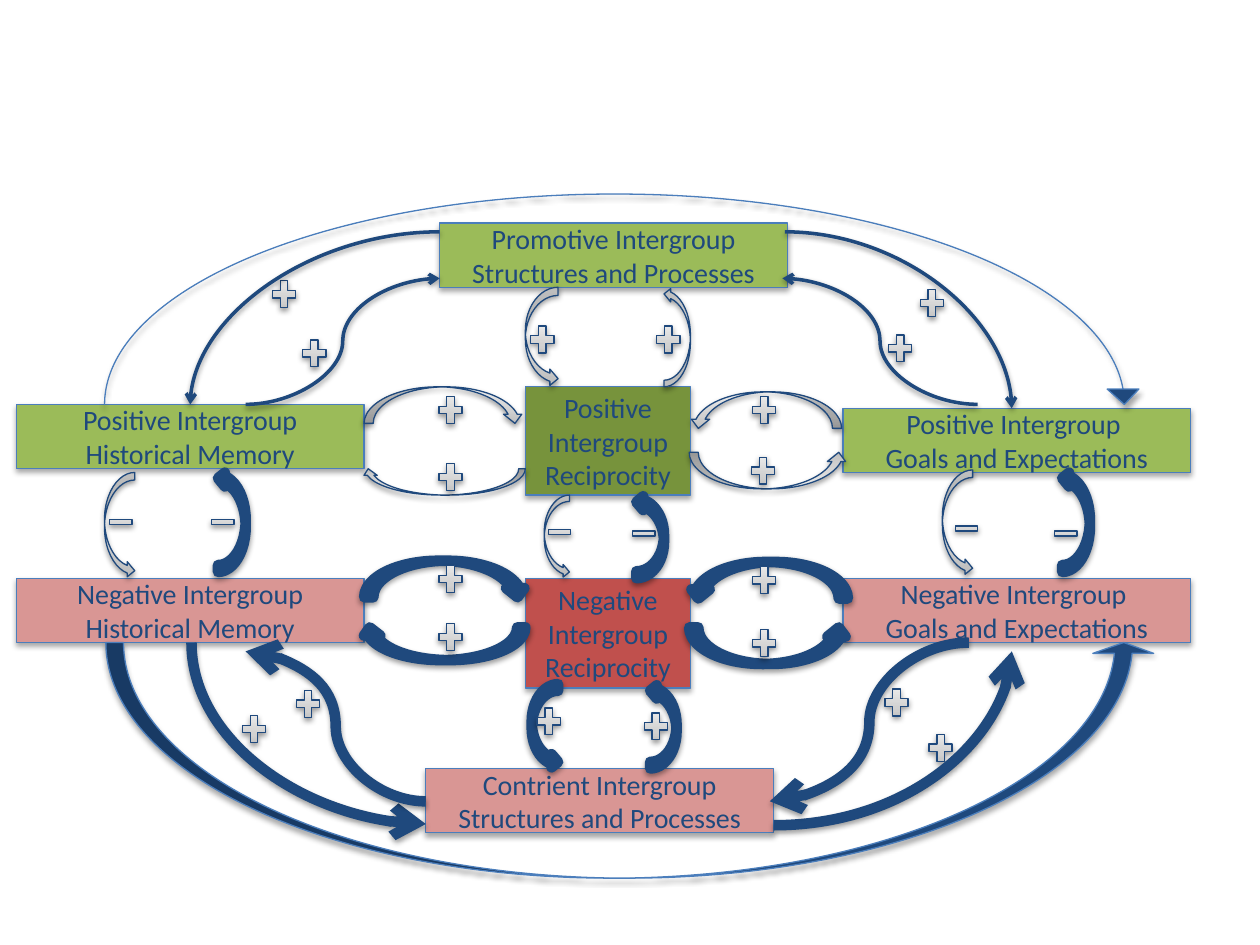
from pptx import Presentation
from pptx.dml.color import RGBColor
from pptx.enum.shapes import MSO_CONNECTOR, MSO_SHAPE
from pptx.enum.text import MSO_ANCHOR, PP_ALIGN
from pptx.oxml import parse_xml
from pptx.oxml.ns import nsdecls, qn
from pptx.util import Inches, Pt

RECTANGLE = MSO_SHAPE.RECTANGLE
SIDE = MSO_SHAPE.CURVED_LEFT_ARROW
ARCH = MSO_SHAPE.CURVED_DOWN_ARROW
PLUS = MSO_SHAPE.MATH_PLUS
MINUS = MSO_SHAPE.MATH_MINUS
CURVE = MSO_CONNECTOR.CURVE
CENTER = PP_ALIGN.CENTER
MIDDLE = MSO_ANCHOR.MIDDLE

NAVY, BLUE = "1F497D", "4B7EBC"
GREEN, PINK = "9BBB59", "D99694"
THIN, THICK = 0.75, 6
GRADIENT = [(0, "BDBDBD"), (35, "D1D1D1"), (100, "EEEEEE")]
NS = nsdecls("a")


def color(value):
    return RGBColor.from_string(value)


def add_figure(kind, box, fill=None, line=NAVY, weight=THIN, flip=""):
    shape = slide.shapes.add_shape(kind, *[Inches(n) for n in box])
    properties = shape.element.spPr
    for axis in flip:
        properties.xfrm.set("flip" + axis, "1")
    shape.line.color.rgb = color(line)
    shape.line.width = Pt(weight)
    if fill:
        shape.fill.solid()
        shape.fill.fore_color.rgb = color(fill)
        distance, alpha = 23000, 35000
    else:
        stops = "".join(
            f'<a:gs pos="{place * 1000}"><a:srgbClr val="{tone}"/></a:gs>'
            for place, tone in GRADIENT)
        properties.find(qn("a:prstGeom")).addnext(parse_xml(
            f'<a:gradFill {NS} rotWithShape="1"><a:gsLst>{stops}</a:gsLst>'
            '<a:lin ang="16200000" scaled="0"/></a:gradFill>'))
        distance, alpha = 20000, 38000
    properties.append(parse_xml(
        f'<a:effectLst {NS}><a:outerShdw blurRad="40000" dist="{distance}" '
        'dir="5400000" rotWithShape="0"><a:srgbClr val="000000">'
        f'<a:alpha val="{alpha}"/></a:srgbClr></a:outerShdw></a:effectLst>'))
    return shape


presentation = Presentation()
presentation.slide_width = Inches(10)
presentation.slide_height = Inches(7.5)
slide = presentation.slides.add_slide(presentation.slide_layouts[6])

boxes = [
    ((4.17, 3.07, 1.31, 0.86), "77933C", ["Positive Intergroup Reciprocity"]),
    ((4.17, 4.59, 1.31, 0.87), "C0504D", ["Negative Intergroup Reciprocity"]),
    ((3.49, 1.77, 2.76, 0.51), GREEN, ["Promotive Intergroup Structures and Processes"]),
    ((3.38, 6.1, 2.76, 0.51), PINK, ["Contrient Intergroup Structures and Processes"]),
    ((6.69, 3.24, 2.76, 0.51), GREEN, ["Positive Intergroup ", "Goals and Expectations"]),
    ((6.69, 4.59, 2.76, 0.51), PINK, ["Negative Intergroup ", "Goals and Expectations"]),
    ((0.13, 3.21, 2.76, 0.51), GREEN, ["Positive Intergroup Historical Memory"]),
    ((0.13, 4.59, 2.76, 0.51), PINK, ["Negative Intergroup Historical Memory"]),
]
for box, fill, lines in boxes:
    shape = add_figure(RECTANGLE, box, fill, BLUE)
    frame = shape.text_frame
    frame.word_wrap = True
    frame.vertical_anchor = MIDDLE
    for index, text in enumerate(lines):
        paragraph = frame.add_paragraph() if index else frame.paragraphs[0]
        paragraph.alignment = CENTER
        run = paragraph.add_run()
        run.text = text
        run.font.name = "Calibri"
        run.font.size = Pt(16)
        run.font.color.rgb = color(NAVY)

outer_loops = [
    (SIDE, (4.17, 2.28, 0.26, 0.79), "H", THIN),
    (SIDE, (5.27, 2.28, 0.21, 0.79), "V", THIN),
    (SIDE, (4.22, 5.43, 0.21, 0.67), "H", THICK),
    (SIDE, (5.16, 5.43, 0.21, 0.67), "V", THICK),
    (ARCH, (5.47, 3.11, 1.21, 0.29), "H", THIN),
    (ARCH, (5.47, 3.59, 1.26, 0.29), "V", THIN),
    (ARCH, (5.47, 4.98, 1.26, 0.29), "V", THICK),
    (ARCH, (5.47, 4.46, 1.26, 0.29), "H", THICK),
    (SIDE, (7.48, 3.73, 0.24, 0.84), "H", THIN),
    (SIDE, (8.43, 3.74, 0.22, 0.8), "V", THICK),
    (ARCH, (2.89, 3.07, 1.27, 0.29), "", THIN),
    (ARCH, (2.87, 3.72, 1.3, 0.21), "HV", THIN),
    (ARCH, (2.89, 4.45, 1.29, 0.29), "", THICK),
    (ARCH, (2.87, 4.98, 1.3, 0.26), "HV", THICK),
    (SIDE, (0.83, 3.75, 0.24, 0.84), "H", THIN),
    (SIDE, (1.73, 3.74, 0.22, 0.8), "V", THICK),
]
center_loops = [
    (SIDE, (4.32, 3.93, 0.2, 0.66), "H", THIN),
    (SIDE, (5.05, 3.93, 0.22, 0.66), "V", THICK),
]
signs = [
    (PLUS, (0.25, 0.29), [
        (4.18, 2.55), (5.18, 2.55), (4.23, 5.58), (5.08, 5.62),
        (5.93, 3.59), (5.94, 3.11), (5.94, 4.96), (5.94, 4.46),
        (3.45, 3.11), (3.45, 3.64), (3.45, 4.45), (3.45, 4.91),
        (7.02, 2.62), (7.27, 2.26), (7.34, 5.79), (6.99, 5.43),
        (1.89, 5.64), (2.32, 5.44), (2.37, 2.66), (2.13, 2.19)]),
    (MINUS, (0.24, 0.17), [
        (4.32, 4.14), (4.99, 4.15), (7.55, 4.11),
        (8.34, 4.15), (0.84, 4.06), (1.65, 4.06)]),
]
for kind, box, flip, weight in outer_loops:
    add_figure(kind, box, weight=weight, flip=flip)
for kind, size, places in signs:
    for place in places:
        add_figure(kind, place + size)
for kind, box, flip, weight in center_loops:
    add_figure(kind, box, weight=weight, flip=flip)

curves = [
    (2, (6.23, 1.84), (8.03, 3.24), 2, 0),
    (3, (7.76, 3.21), (6.21, 2.21), 2, 0),
    (2, (6.14, 6.55), (8.03, 5.17), 6, 0),
    (3, (7.69, 5.1), (6.11, 6.36), 6, 0),
    (2, (3.49, 1.84), (1.51, 3.21), 2, 0),
    (2, (3.17, 4.89), (1.73, 6.75), 6, 270),
    (3, (1.95, 3.21), (3.49, 2.21), 2, 0),
    (3, (3.38, 6.36), (1.95, 5.17), 6, 0),
]
for bends, start, end, weight, rotation in curves:
    connector = slide.shapes.add_connector(CURVE, *[Inches(n) for n in start + end])
    connector.line.color.rgb = color(NAVY)
    connector.line.width = Pt(weight)
    properties = connector.element.spPr
    properties.find(qn("a:prstGeom")).set("prst", f"curvedConnector{bends}")
    if rotation:
        properties.xfrm.set("rot", str(rotation * 60000))
    properties.find(qn("a:ln")).append(parse_xml(f'<a:tailEnd {NS} type="arrow"/>'))
    properties.append(parse_xml(
        f'<a:effectLst {NS}><a:outerShdw blurRad="40000" dist="20000" '
        'dir="5400000" rotWithShape="0"><a:srgbClr val="000000">'
        '<a:alpha val="38000"/></a:srgbClr></a:outerShdw></a:effectLst>'))

great_arcs = [
    ((0.83, 1.54, 8.22, 1.67), "", (0, 0.151, 0.073)),
    ((0.84, 5.1, 8.32, 1.87), "V", (0.075, 0.258, 0.046)),
]
for box, flip, adjustments in great_arcs:
    arc = add_figure(ARCH, box, NAVY, BLUE, flip=flip)
    for index, value in enumerate(adjustments):
        arc.adjustments[index] = value

presentation.save("out.pptx")
